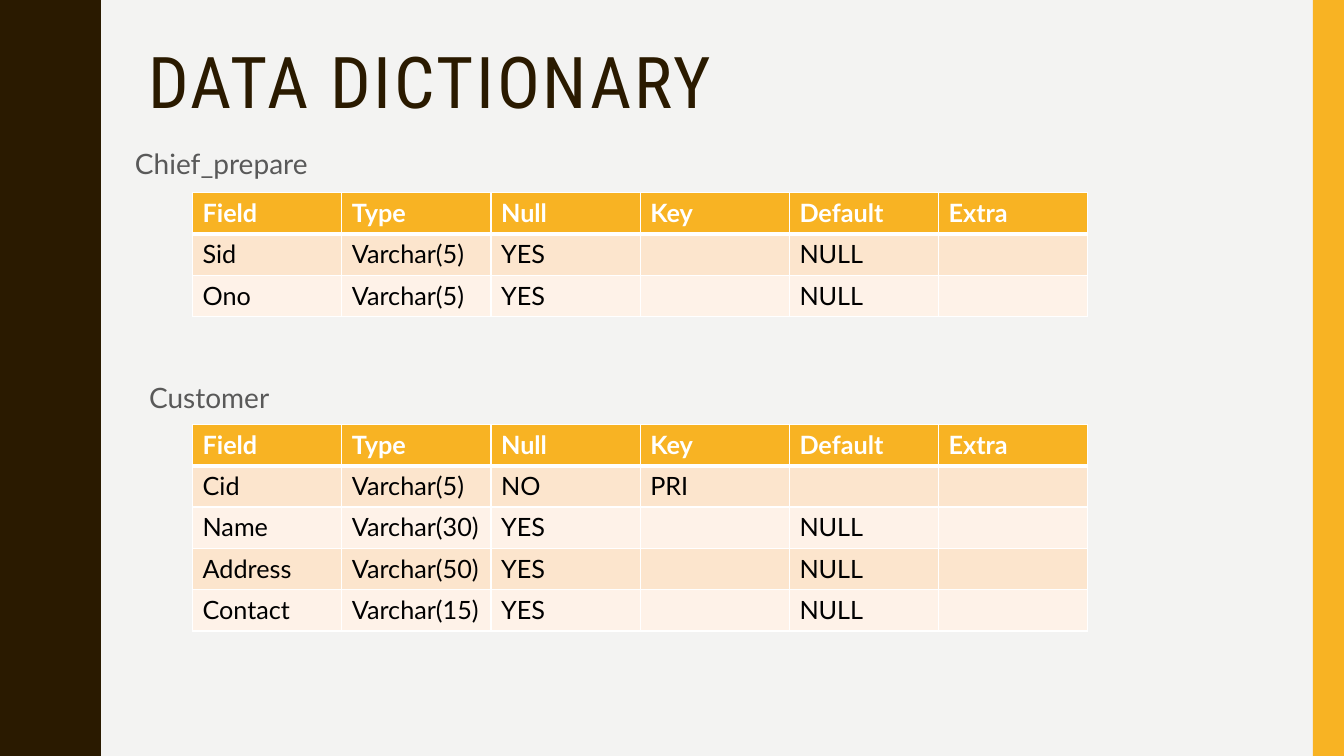
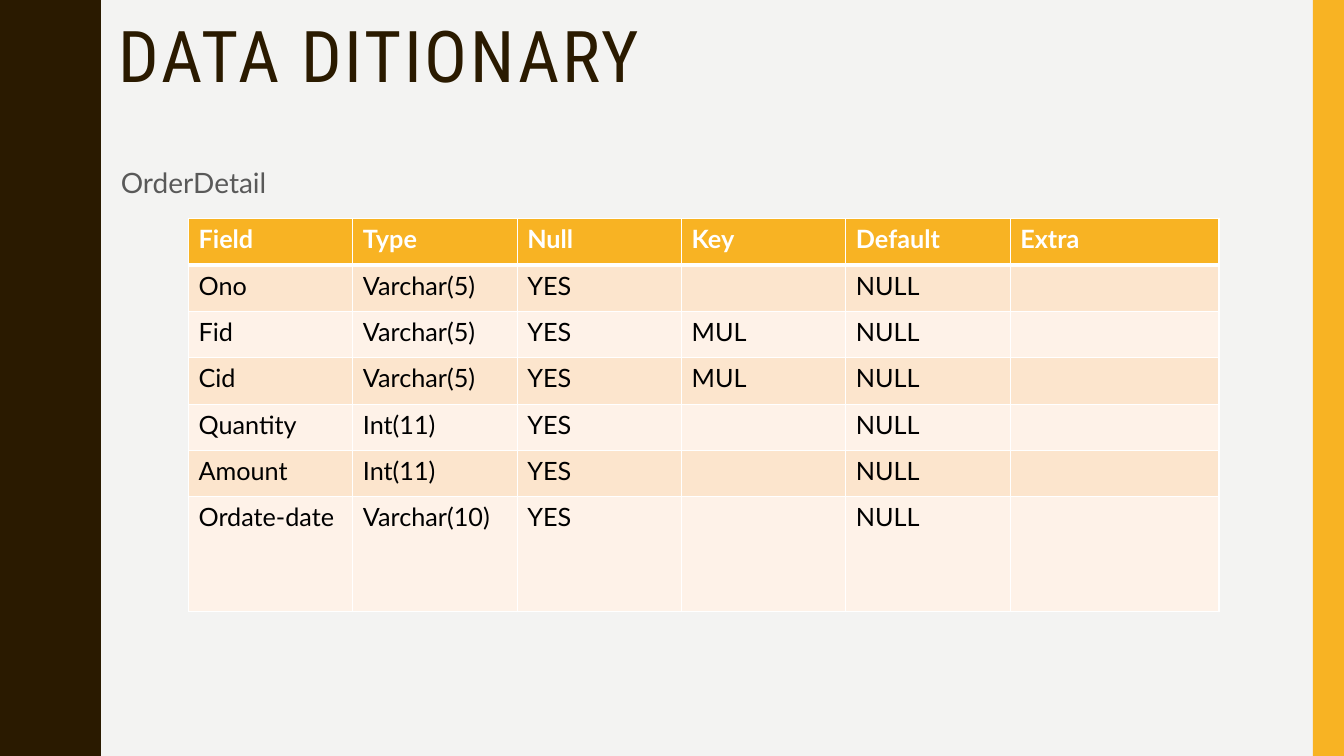
from lxml import etree
from pptx import Presentation
from pptx.dml.color import RGBColor
from pptx.enum.shapes import MSO_SHAPE
from pptx.oxml.ns import qn
from pptx.util import Inches, Pt

RECTANGLE = MSO_SHAPE.RECTANGLE

# Content: positions in inches, rows without the repeated header
HEADER = ("Field", "Type", "Null", "Key", "Default", "Extra")
SLIDES = [
    {
        "title": ("DATA DICTIONARY", 1.37, 0.42),
        "dictionaries": [
            {
                "label": ("Chief_prepare", 1.24, 1.37),
                "at": (1.91, 1.91),
                "columns": [1.48] * 6,
                "heights": [0.41] * 3,
                "rows": [
                    ("Sid", "Varchar(5)", "YES", "", "NULL", ""),
                    ("Ono", "Varchar(5)", "YES", "", "NULL", ""),
                ],
            },
            {
                "label": ("Customer", 1.38, 3.69),
                "at": (1.91, 4.21),
                "columns": [1.48] * 6,
                "heights": [0.41] * 5,
                "rows": [
                    ("Cid", "Varchar(5)", "NO", "PRI", "", ""),
                    ("Name", "Varchar(30)", "YES", "", "NULL", ""),
                    ("Address", "Varchar(50)", "YES", "", "NULL", ""),
                    ("Contact", "Varchar(15)", "YES", "", "NULL", ""),
                ],
            },
        ],
    },
    {
        "title": ("DATA DITIONARY", 1.08, 0.16),
        "dictionaries": [
            {
                "label": ("OrderDetail", 1.1, 1.56),
                "at": (1.87, 2.17),
                "columns": [1.63] * 5 + [2.07],
                "heights": [0.46] * 6 + [1.14],
                "rows": [
                    ("Ono", "Varchar(5)", "YES", "", "NULL", ""),
                    ("Fid", "Varchar(5)", "YES", "MUL", "NULL", ""),
                    ("Cid", "Varchar(5)", "YES", "MUL", "NULL", ""),
                    ("Quantity", "Int(11)", "YES", "", "NULL", ""),
                    ("Amount", "Int(11)", "YES", "", "NULL", ""),
                    ("Ordate-date", "Varchar(10)", "YES", "", "NULL", ""),
                ],
            },
        ],
    },
]

# Shared look
COLORS = {
    "background": "F3F3F2", "wave": "2A1A00", "accent": "F8B323",
    "label": "595959", "white": "FFFFFF", "black": "000000",
    "odd_row": "FCE5CD", "even_row": "FEF2E8",
}
FORMATS = {
    "title": {"name": "Roboto Condensed", "size": Pt(51), "color": "wave"},
    "label": {"name": "Lato", "size": Pt(20), "color": "label"},
    "header": {"name": "Lato", "size": Pt(18), "bold": True, "color": "white"},
    "body": {"name": "Lato", "size": Pt(18), "bold": False, "color": "black"},
}
SPACING = {
    "title": {"line_spacing": 0.9},
    "label": {"line_spacing": 1.1, "space_before": Pt(7)},
}
BOX_SIZES = {"title": (11.1, 1.26), "label": (6, 0.5)}
WIDTH, HEIGHT = 13.33, 7.5
RAIL_WIDTH = 0.31
WAVE_PERIOD = 1.5
RISING_EDGE = [
    (0.78, 0), (0.78, 0.07), (0.79, 0.14), (0.8, 0.2), (0.81, 0.25),
    (0.83, 0.29), (0.85, 0.33), (0.87, 0.38), (0.89, 0.42), (0.91, 0.46),
    (0.93, 0.5), (0.95, 0.55), (0.96, 0.61), (0.97, 0.68), (0.97, 0.75),
]


def rgb(color):
    return RGBColor.from_string(COLORS[color])


def paint(part, color):
    part.fill.solid()
    part.fill.fore_color.rgb = rgb(color)


def style_font(font, style):
    for attribute, value in FORMATS[style].items():
        if attribute == "color":
            font.color.rgb = rgb(value)
        else:
            setattr(font, attribute, value)


def add_bands(slide):
    """Wavy band on the left and plain rail on the right."""
    paint(slide.background, "background")
    falling_edge = [(x, WAVE_PERIOD - y) for x, y in RISING_EDGE[-2::-1]]
    crest = RISING_EDGE + falling_edge
    edge = [(x, y + n * WAVE_PERIOD)
            for n in range(round(HEIGHT / WAVE_PERIOD)) for x, y in crest]
    outline = slide.shapes.build_freeform(0, 0, scale=Inches(1))
    outline.add_line_segments(edge + [(0, HEIGHT)], close=True)
    wave = outline.convert_to_shape()
    rail = slide.shapes.add_shape(
        RECTANGLE, Inches(WIDTH - RAIL_WIDTH), 0, Inches(RAIL_WIDTH), Inches(HEIGHT))
    for band, color in ((wave, "wave"), (rail, "accent")):
        paint(band, color)
        band.line.fill.background()
        band.shadow.inherit = False


def add_text(slide, text, left, top, style):
    width, height = BOX_SIZES[style]
    box = slide.shapes.add_textbox(*map(Inches, (left, top, width, height)))
    box.text_frame.word_wrap = True
    paragraph = box.text_frame.paragraphs[0]
    for attribute, value in SPACING[style].items():
        setattr(paragraph, attribute, value)
    run = paragraph.add_run()
    run.text = text
    style_font(run.font, style)
    if style == "title":
        run.font._element.set("spc", "200")


def add_borders(cell, row):
    """White grid with a heavier rule under the header."""
    properties = cell._tc.get_or_add_tcPr()
    heavy_side = {0: "B", 1: "T"}.get(row)
    for side in "LRTB":
        points = 3 if side == heavy_side else 1
        line = etree.SubElement(properties, qn(f"a:ln{side}"), w=str(Pt(points)))
        fill = etree.SubElement(line, qn("a:solidFill"))
        etree.SubElement(fill, qn("a:srgbClr"), val=COLORS["white"])


def add_dictionary(slide, dictionary):
    add_text(slide, *dictionary["label"], "label")
    columns, heights = dictionary["columns"], dictionary["heights"]
    size = (sum(columns), sum(heights))
    table = slide.shapes.add_table(
        len(heights), len(columns), *map(Inches, dictionary["at"] + size)).table
    for column, width in zip(table.columns, columns):
        column.width = Inches(width)
    for r, values in enumerate([HEADER] + dictionary["rows"]):
        table.rows[r].height = Inches(heights[r])
        color = "accent" if r == 0 else ("even_row", "odd_row")[r % 2]
        for c, value in enumerate(values):
            cell = table.cell(r, c)
            add_borders(cell, r)
            paint(cell, color)
            cell.text = value
            style_font(cell.text_frame.paragraphs[0].font, "body" if r else "header")


# Build the slides
deck = Presentation()
deck.slide_width, deck.slide_height = Inches(WIDTH), Inches(HEIGHT)
for content in SLIDES:
    slide = deck.slides.add_slide(deck.slide_layouts[6])
    add_bands(slide)
    add_text(slide, *content["title"], "title")
    for dictionary in content["dictionaries"]:
        add_dictionary(slide, dictionary)
deck.save("out.pptx")
